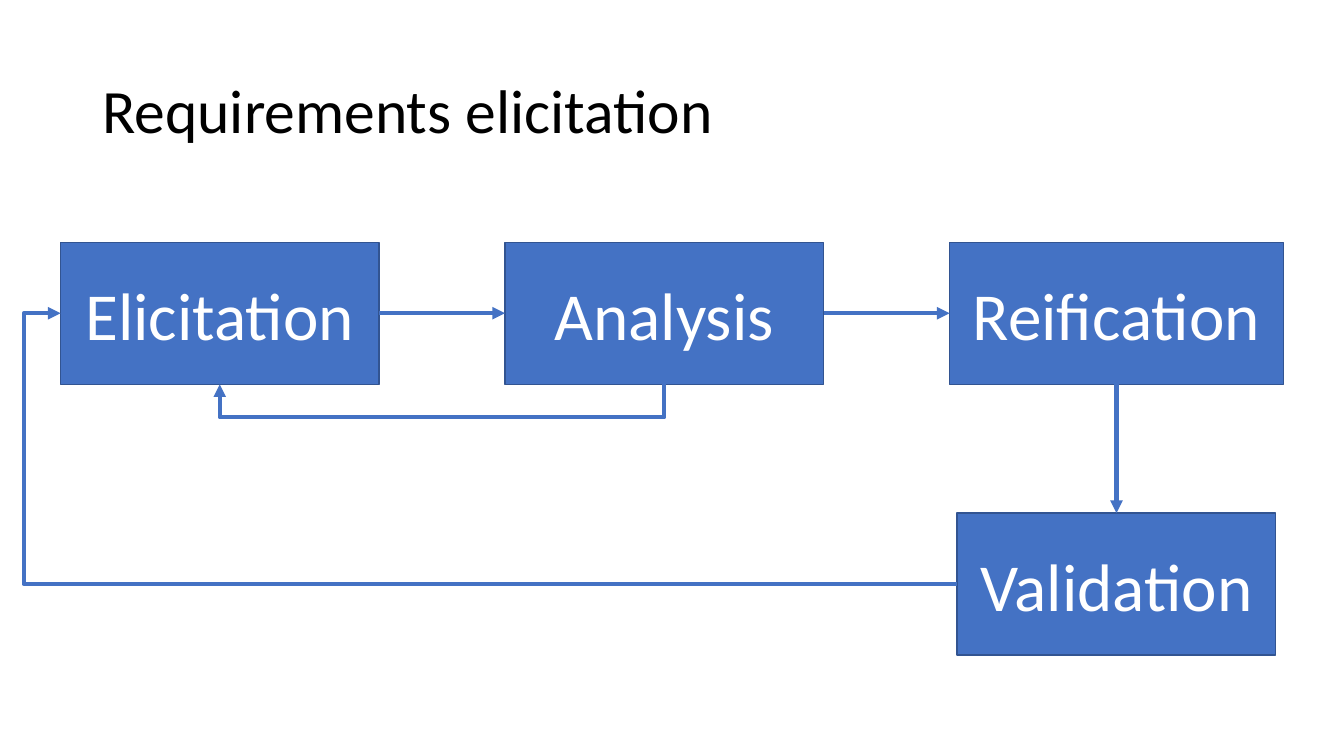
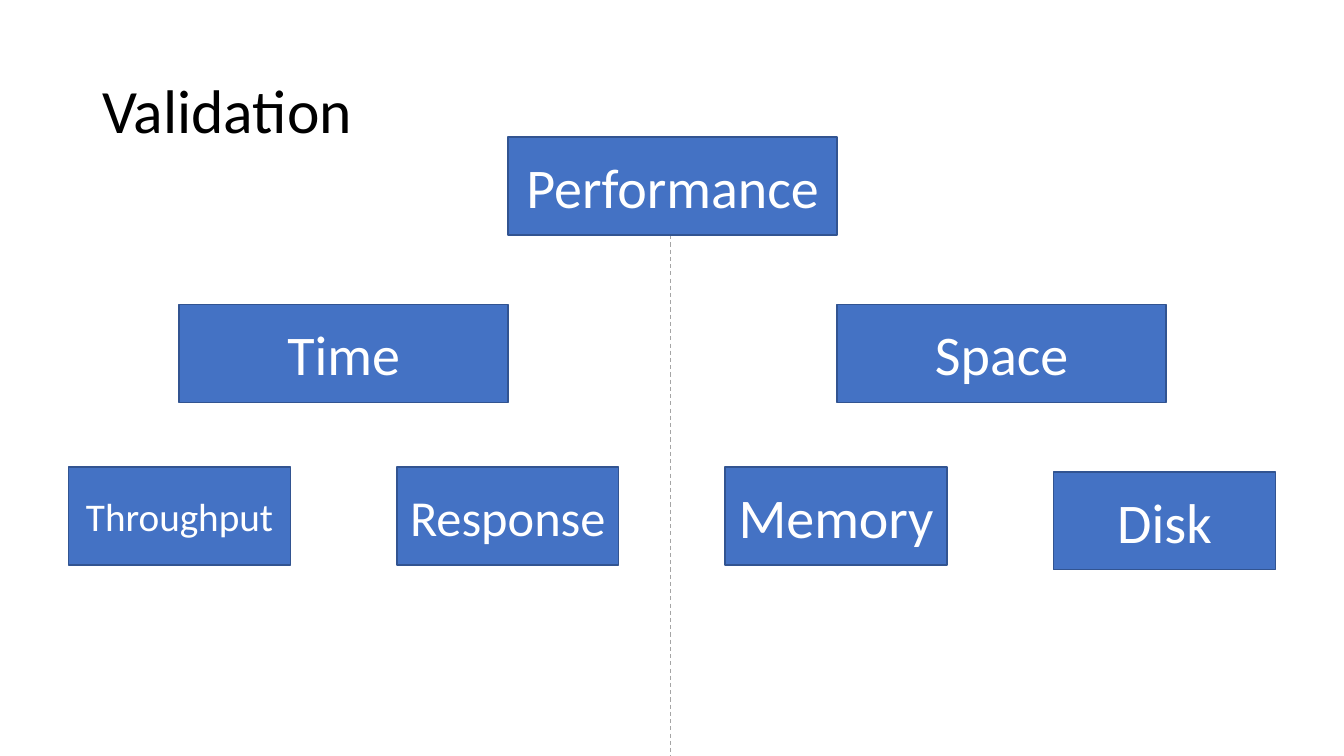
"""Build two slides: the requirements process and the validation tree."""
from dataclasses import dataclass

from lxml import etree
from pptx import Presentation
from pptx.dml.color import RGBColor
from pptx.enum import dml, shapes, text
from pptx.oxml import ns
from pptx.util import Pt


@dataclass(frozen=True)
class Theme:
    font: str = "Calibri"
    fill: RGBColor = RGBColor(0x44, 0x72, 0xC4)
    outline: RGBColor = RGBColor(0x32, 0x54, 0x91)
    divider: RGBColor = RGBColor(0xA5, 0xA5, 0xA5)
    title: RGBColor = RGBColor(0, 0, 0)
    label: RGBColor = RGBColor(255, 255, 255)
    title_size: float = 44
    step_size: float = 48
    node_size: float = 40


THEME = Theme()
SLIDE_WIDTH, SLIDE_HEIGHT = 960, 540
TITLE_BOX = (66, 28.75, 828, 104.5)

PROCESS_TITLE = "Requirements elicitation"
STEPS = [("Elicitation", 227.5), ("Analysis", 227.5), ("Reification", 238.5)]
LAST_STEP = ("Validation", 227.5)
STEP_LEFT, STEP_TOP, STEP_HEIGHT, STEP_GAP = 43.25, 173, 101.5, 90
LAST_STEP_TOP = 366.5
LOOP_Y, LOOP_X = 298, 17.25

TREE_TITLE = "Validation"
BRANCHES = [("Time", 0, 217.5), ("Performance", 1, 98), ("Space", 2, 217.5)]
LEAVES = [
    ("Throughput", 28, 333.5),
    ("Response", 36, 333.5),
    ("Memory", THEME.node_size, 333.5),
    ("Disk", THEME.node_size, 337),
]
NODE_HEIGHT = 70
BRANCH_LEFT, BRANCH_WIDTH = 128, 235
LEAF_LEFT, LEAF_WIDTH, LEAF_STEP = 49, 158.5, 234.5
DIVIDER_X, DIVIDER_TOP = 479, 168

TOP, LEFT, BOTTOM, RIGHT = range(4)


def style_text(frame, words, size, color, alignment):
    frame.word_wrap = True
    frame.vertical_anchor = text.MSO_ANCHOR.MIDDLE
    paragraph = frame.paragraphs[0]
    paragraph.text = words
    paragraph.alignment = alignment
    paragraph.font.name = THEME.font
    paragraph.font.size = Pt(size)
    paragraph.font.color.rgb = color
    return paragraph


def add_slide(presentation, title):
    slide = presentation.slides.add_slide(presentation.slide_layouts[6])
    box = slide.shapes.add_textbox(*map(Pt, TITLE_BOX))
    paragraph = style_text(box.text_frame, title, THEME.title_size,
                           THEME.title, text.PP_ALIGN.LEFT)
    paragraph.line_spacing = 0.9
    return slide


def add_box(slide, words, size, *bounds):
    shape = slide.shapes.add_shape(shapes.MSO_SHAPE.RECTANGLE, *map(Pt, bounds))
    shape.shadow.inherit = False
    shape.fill.solid()
    shape.fill.fore_color.rgb = THEME.fill
    shape.line.color.rgb = THEME.outline
    shape.line.width = Pt(1)
    style_text(shape.text_frame, words, size, THEME.label, text.PP_ALIGN.CENTER)
    return shape


def add_line(slide, kind, ends, color, width, arrow=True):
    connector = slide.shapes.add_connector(kind, *map(Pt, ends))
    connector.line.color.rgb = color
    connector.line.width = Pt(width)
    if arrow:
        etree.SubElement(connector.line._get_or_add_ln(), ns.qn("a:tailEnd"),
                         type="triangle")
    etree.SubElement(connector.element.spPr, ns.qn("a:effectLst"))
    return connector


def link(slide, source, source_side, target, target_side):
    arrow = add_line(slide, shapes.MSO_CONNECTOR.STRAIGHT, (0, 0, 0, 0), THEME.fill, 3)
    arrow.begin_connect(source, source_side)
    arrow.end_connect(target, target_side)


def add_elbow(slide, begin, end, bend, degrees):
    """Draw an arrow that leaves downwards (90) or leftwards (180) and turns at bend."""
    axis = 1 if degrees == 90 else 0
    run = abs(end[axis] - begin[axis])
    rise = abs(end[1 - axis] - begin[1 - axis])
    left = (begin[0] + end[0] - run) / 2
    top = (begin[1] + end[1] - rise) / 2
    arrow = add_line(slide, shapes.MSO_CONNECTOR.ELBOW,
                     (left, top, left + run, top + rise), THEME.fill, 3)
    properties = arrow.element.spPr
    properties.find(ns.qn("a:xfrm")).set("rot", str(degrees * 60000))
    guides = properties.find(ns.qn("a:prstGeom")).get_or_add_avLst()
    ratio = abs(bend - begin[axis]) / run
    etree.SubElement(guides, ns.qn("a:gd"), name="adj1", fmla=f"val {round(ratio * 100000)}")


def build_process(presentation):
    slide = add_slide(presentation, PROCESS_TITLE)
    boxes, left = [], STEP_LEFT
    for words, width in STEPS:
        boxes.append(add_box(slide, words, THEME.step_size,
                             left, STEP_TOP, width, STEP_HEIGHT))
        left += width + STEP_GAP
    elicitation, analysis, reification = boxes

    words, width = LAST_STEP
    center = reification.left.pt + reification.width.pt / 2
    validation = add_box(slide, words, THEME.step_size,
                         center - width / 2, LAST_STEP_TOP, width, STEP_HEIGHT)

    for source, target in zip(boxes, boxes[1:]):
        link(slide, source, RIGHT, target, LEFT)
    link(slide, reification, BOTTOM, validation, TOP)

    bottom = STEP_TOP + STEP_HEIGHT
    add_elbow(slide, (analysis.left.pt + analysis.width.pt / 2, bottom - 1.5),
              (elicitation.left.pt + elicitation.width.pt / 2, bottom), LOOP_Y, 90)
    add_elbow(slide, (validation.left.pt, LAST_STEP_TOP + STEP_HEIGHT / 2),
              (STEP_LEFT, STEP_TOP + STEP_HEIGHT / 2), LOOP_X, 180)


def build_tree(presentation):
    slide = add_slide(presentation, TREE_TITLE)
    divider = add_line(slide, shapes.MSO_CONNECTOR.STRAIGHT,
                       (DIVIDER_X, DIVIDER_TOP, DIVIDER_X, SLIDE_HEIGHT),
                       THEME.divider, 0.75, arrow=False)
    divider.line.dash_style = dml.MSO_LINE.DASH
    for words, column, top in BRANCHES:
        add_box(slide, words, THEME.node_size, BRANCH_LEFT + column * BRANCH_WIDTH,
                top, BRANCH_WIDTH, NODE_HEIGHT)
    for column, (words, size, top) in enumerate(LEAVES):
        add_box(slide, words, size, LEAF_LEFT + column * LEAF_STEP,
                top, LEAF_WIDTH, NODE_HEIGHT)


def main():
    presentation = Presentation()
    presentation.slide_width = Pt(SLIDE_WIDTH)
    presentation.slide_height = Pt(SLIDE_HEIGHT)
    build_process(presentation)
    build_tree(presentation)
    presentation.save("out.pptx")


if __name__ == "__main__":
    main()
